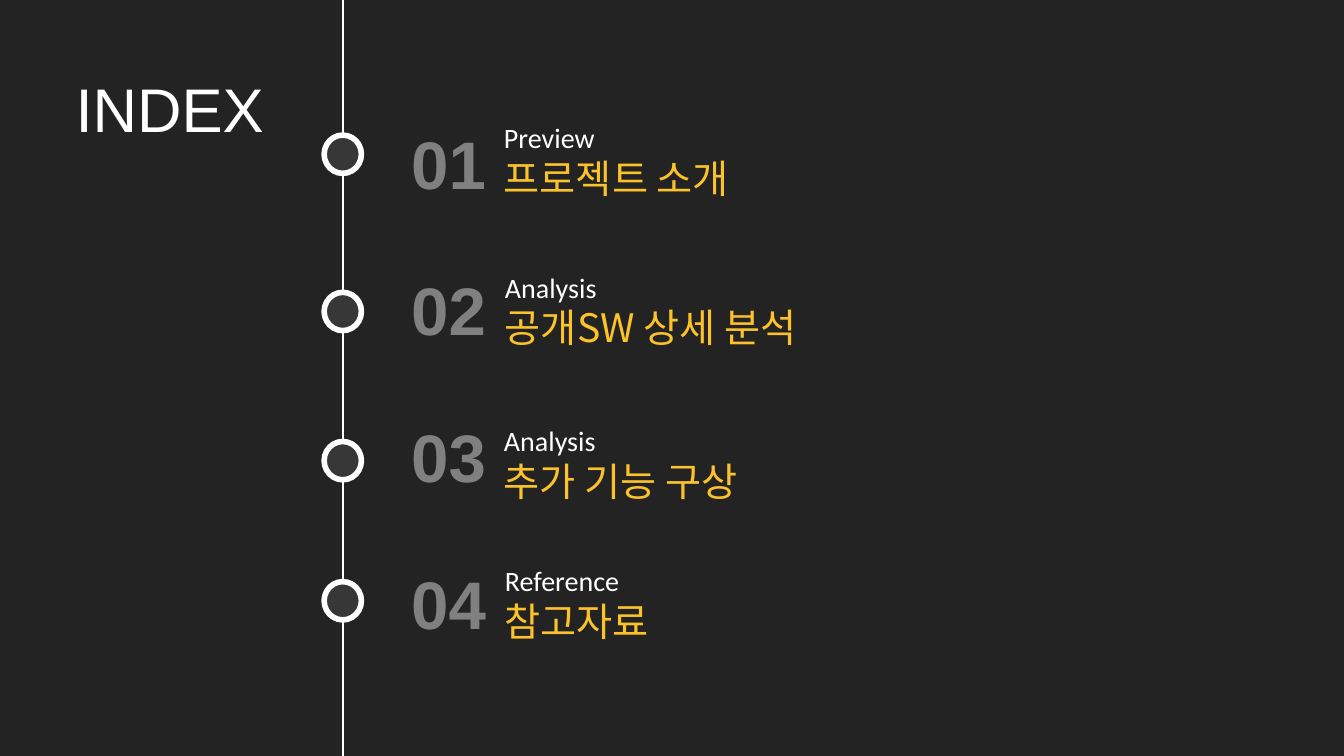
from dataclasses import dataclass

from lxml import etree
from pptx import Presentation
from pptx.dml.color import RGBColor
from pptx.enum import shapes, text
from pptx.oxml import ns
from pptx.util import Inches, Pt


@dataclass(frozen=True)
class Theme:
    background: str = "232323"
    white: str = "FFFFFF"
    number: str = "808080"
    accent: str = "FBC22C"
    marker: str = "373737"
    heading_font: str = "Arial"
    label_font: str = "Calibri"
    topic_font: str = "Noto Sans CJK KR"
    title_size: int = 44
    number_size: int = 48
    label_size: int = 20
    topic_size: int = 28


THEME = Theme()
SLIDE_WIDTH, SLIDE_HEIGHT = 13.33, 7.5
TIMELINE_X = 3.4
MARKER_WIDTH, MARKER_HEIGHT = 0.37, 0.38
NUMBER_LEFT, NUMBER_TOP, NUMBER_PITCH = 3.98, 1.21, 1.455

# Label, topic, marker top, text box (left, top, width, height)
ENTRIES = [
    ("Preview", "프로젝트 소개", 1.34, (4.9, 1.15, 3.51, 0.91)),
    ("Analysis", "공개SW 상세 분석", 2.9, (4.91, 2.63, 4.09, 0.91)),
    ("Analysis", "추가 기능 구상", 4.38, (4.9, 4.15, 4.08, 0.91)),
    ("Reference", "참고자료", 5.77, (4.91, 5.54, 2.66, 0.91)),
]


def color(value):
    return RGBColor.from_string(value)


def format_runs(paragraph, font, size, value, bold=False):
    for run in paragraph.runs:
        run.font.name = font
        run.font.size = Pt(size)
        run.font.bold = bold
        run.font.color.rgb = color(value)
        # East Asian typeface for Korean text
        east_asian = etree.SubElement(run.font._element, ns.qn("a:ea"))
        east_asian.set("typeface", font)


def add_text_box(slide, box):
    shape = slide.shapes.add_textbox(*map(Inches, box))
    shape.text_frame.word_wrap = True
    return shape.text_frame


def add_title(slide, box):
    title = slide.shapes.title
    title.left, title.top, title.width, title.height = map(Inches, box)
    frame = title.text_frame
    frame.text = "INDEX"
    frame.vertical_anchor = text.MSO_ANCHOR.MIDDLE
    paragraph = frame.paragraphs[0]
    paragraph.alignment = text.PP_ALIGN.LEFT
    paragraph.line_spacing = 0.9
    format_runs(paragraph, THEME.heading_font, THEME.title_size, THEME.white)


def add_timeline(slide, x, top, bottom):
    line = slide.shapes.add_connector(
        shapes.MSO_CONNECTOR.STRAIGHT,
        Inches(x), Inches(top), Inches(x), Inches(bottom))
    line.line.color.rgb = color(THEME.white)
    line.line.width = Pt(1)
    etree.SubElement(line._element.spPr, ns.qn("a:effectLst"))


def add_marker(slide, box):
    marker = slide.shapes.add_shape(
        shapes.MSO_SHAPE.FLOWCHART_CONNECTOR, *map(Inches, box))
    marker.shadow.inherit = False
    marker.fill.solid()
    marker.fill.fore_color.rgb = color(THEME.marker)
    marker.line.color.rgb = color(THEME.white)
    marker.line.width = Pt(4)


def add_number(slide, number, box):
    frame = add_text_box(slide, box)
    frame.text = f"{number:02d}"
    frame.vertical_anchor = text.MSO_ANCHOR.MIDDLE
    format_runs(frame.paragraphs[0], THEME.heading_font,
                THEME.number_size, THEME.number, bold=True)


def add_entry_text(slide, label, topic, box):
    frame = add_text_box(slide, box)
    frame.text = label
    format_runs(frame.paragraphs[0], THEME.label_font,
                THEME.label_size, THEME.white)
    paragraph = frame.add_paragraph()
    paragraph.text = topic
    format_runs(paragraph, THEME.topic_font, THEME.topic_size, THEME.accent)


def build_index(slide):
    slide.background.fill.solid()
    slide.background.fill.fore_color.rgb = color(THEME.background)

    # Title and timeline
    add_title(slide, (0.65, 0.38, 2.33, 1.47))
    add_timeline(slide, TIMELINE_X, 0, SLIDE_HEIGHT)

    # Index entries
    for index, (label, topic, marker_top, text_box) in enumerate(ENTRIES):
        add_marker(slide, (TIMELINE_X - MARKER_WIDTH / 2, marker_top,
                           MARKER_WIDTH, MARKER_HEIGHT))
        add_number(slide, index + 1,
                   (NUMBER_LEFT, NUMBER_TOP + index * NUMBER_PITCH, 0.95, 0.8))
        add_entry_text(slide, label, topic, text_box)


def main():
    presentation = Presentation()
    presentation.slide_width = Inches(SLIDE_WIDTH)
    presentation.slide_height = Inches(SLIDE_HEIGHT)
    title_only = presentation.slide_layouts[5]
    build_index(presentation.slides.add_slide(title_only))
    presentation.save("out.pptx")


if __name__ == "__main__":
    main()
